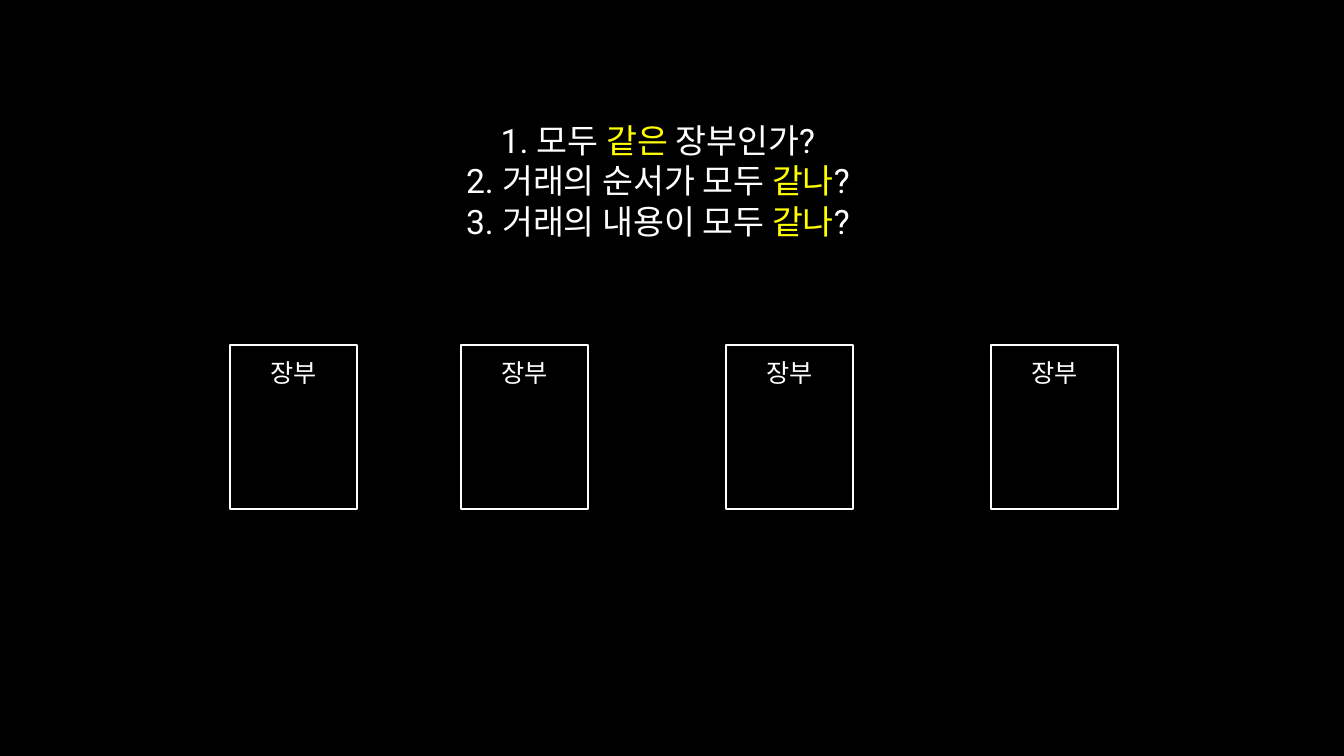
from pptx import Presentation
from pptx.dml.color import RGBColor
from pptx.enum.shapes import MSO_SHAPE
from pptx.enum.text import MSO_AUTO_SIZE, PP_ALIGN
from pptx.util import Inches, Pt

BLACK = RGBColor(0x00, 0x00, 0x00)
WHITE = RGBColor(0xFF, 0xFF, 0xFF)
YELLOW = RGBColor(0xFF, 0xFF, 0x00)
RECTANGLE = MSO_SHAPE.RECTANGLE
CENTER = PP_ALIGN.CENTER
GROW = MSO_AUTO_SIZE.SHAPE_TO_FIT_TEXT

SLIDE_WIDTH, SLIDE_HEIGHT = 13.33, 7.5
QUESTIONS_BOX = (3.73, 1.14, 5.59, 1.31)
QUESTIONS = [
    ("1. 모두 ", "같은", " 장부인가?"),
    ("2. 거래의 순서가 모두 ", "같나", "?"),
    ("3. 거래의 내용이 모두 ", "같나", "?"),
]
LEDGER_TOP, LEDGER_WIDTH, LEDGER_HEIGHT = 3.42, 1.26, 1.63
FIRST_LEDGER_LEFT, SECOND_LEDGER_LEFT, LEDGER_STEP = 2.28, 4.57, 2.63
LABEL_WIDTH, LABEL_HEIGHT, LABEL_DROP = 0.85, 0.4, 0.08


def add_lines(shapes, box, lines, font_format):
    frame = shapes.add_textbox(*map(Inches, box)).text_frame
    frame.word_wrap = True
    frame.auto_size = GROW
    for index, line in enumerate(lines):
        paragraph = frame.add_paragraph() if index else frame.paragraphs[0]
        paragraph.alignment = CENTER
        for words, color in line:
            run = paragraph.add_run()
            run.text = words
            for attribute, value in font_format.items():
                setattr(run.font, attribute, value)
            run.font.color.rgb = color


def add_ledger(slide, box):
    left, top, width, height = box
    ledger = slide.shapes.add_group_shape()
    page = ledger.shapes.add_shape(RECTANGLE, *map(Inches, box))
    page.shadow.inherit = False
    page.fill.solid()
    page.fill.fore_color.rgb = BLACK
    page.line.color.rgb = WHITE
    page.line.width = Pt(1.5)
    label_box = (left + (width - LABEL_WIDTH) / 2, top + LABEL_DROP,
                 LABEL_WIDTH, LABEL_HEIGHT)
    add_lines(ledger.shapes, label_box, [[("장부", WHITE)]],
              {"name": "Calibri", "size": Pt(18)})


def add_questions(slide, box):
    lines = [zip(question, (WHITE, YELLOW, WHITE)) for question in QUESTIONS]
    add_lines(slide.shapes, box, lines, {"name": "Roboto", "size": Pt(24)})


def main():
    deck = Presentation()
    deck.slide_width = Inches(SLIDE_WIDTH)
    deck.slide_height = Inches(SLIDE_HEIGHT)
    slide = deck.slides.add_slide(deck.slide_layouts.get_by_name("Blank"))
    slide.background.fill.solid()
    slide.background.fill.fore_color.rgb = BLACK
    ledger_lefts = [FIRST_LEDGER_LEFT]
    ledger_lefts += [SECOND_LEDGER_LEFT + column * LEDGER_STEP for column in range(3)]
    for left in ledger_lefts:
        add_ledger(slide, (left, LEDGER_TOP, LEDGER_WIDTH, LEDGER_HEIGHT))
    add_questions(slide, QUESTIONS_BOX)
    deck.save("out.pptx")


if __name__ == "__main__":
    main()
